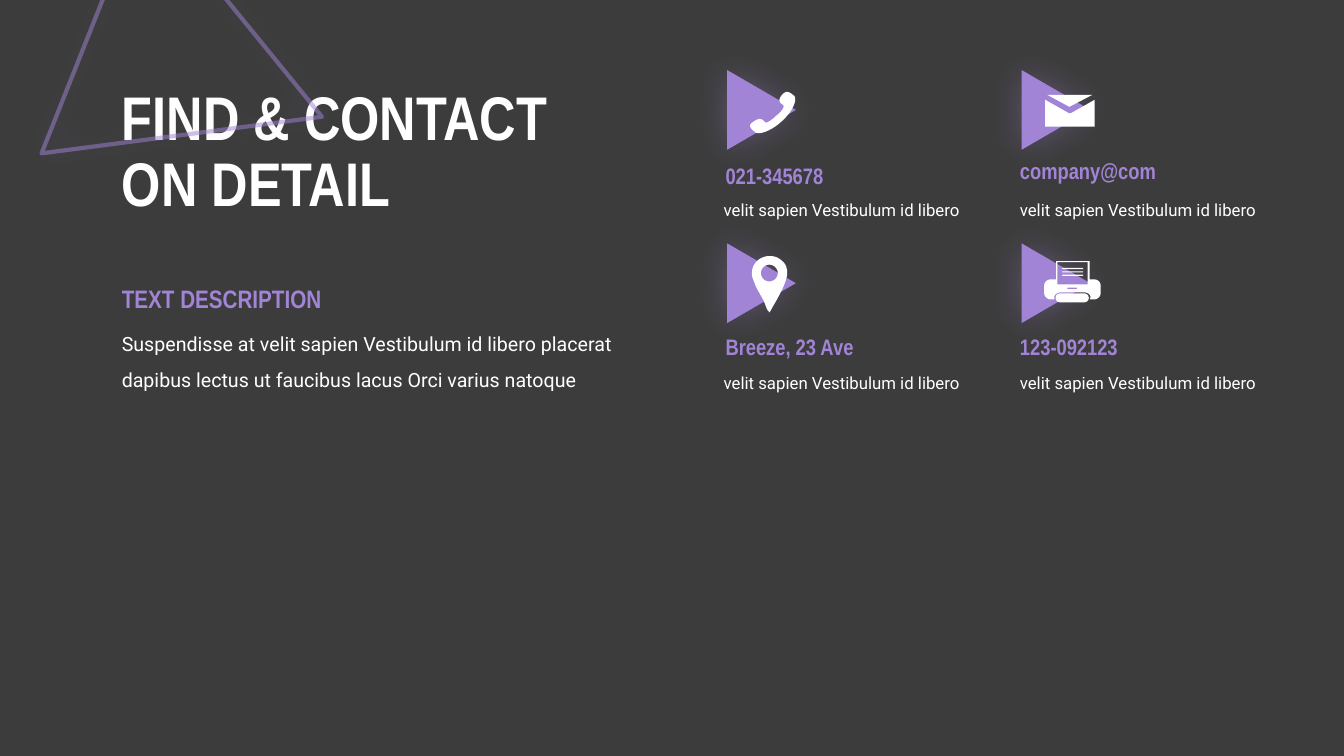
from pptx import Presentation
from pptx.dml.color import RGBColor
from pptx.enum.shapes import MSO_SHAPE as Preset
from pptx.enum.text import MSO_ANCHOR as Anchor, MSO_AUTO_SIZE as AutoSize, PP_ALIGN as Align
from pptx.oxml import parse_xml
from pptx.oxml.ns import nsdecls, qn
from pptx.util import Pt

PHONE = [[
    (25.9, 11.5),
    (23.8, 10.1, 21.6, 8.6, 25.2, 4.3), (28.8, 0, 31.7, 3.6, 33.8, 5),
    (36, 7.2, 33.8, 15.1, 25.2, 23), (16.6, 31, 7.9, 33.1, 5.8, 31),
    (3.6, 28.8, 0, 26.6, 4.3, 23.8), (9.4, 20.2, 10.8, 21.6, 13, 23.8),
    (13.7, 25.2, 18, 22.3, 20.9, 19.4), (24.5, 16.6, 27.4, 13, 25.9, 11.5),
]]
ENVELOPE = [
    [(0, 3.6), (16.6, 13), (17.7, 13.3), (18.7, 13), (35.3, 3.6), (35.3, 22.7), (0, 22.7)],
    [(1.4, 0), (33.8, 0), (17.3, 8.6)],
]
PIN = [
    [
        (3.6, 3.6),
        (5.8, 1.4, 9.4, 0, 12.6, 0), (16.6, 0, 19.4, 1.4, 21.6, 3.6),
        (24.5, 5.8, 25.2, 9.4, 25.2, 12.2), (25.2, 13.7, 24.5, 17.3, 22.3, 22.3),
        (20.2, 26.6, 18, 31, 15.8, 34.6), (12.6, 40.3), (10.8, 38.2), (8.6, 32.4),
        (7.2, 29.5, 5.8, 27.4, 4.3, 24.5), (2.9, 22.3, 2.2, 20.2, 1.4, 18),
        (0, 15.1, 0, 13.7, 0, 12.2), (0, 8.6, 1.4, 5.8, 3.6, 3.6),
    ],
    [
        (6.4, 12.2),
        (6.4, 15.5, 9.1, 18.2, 12.4, 18.2), (15.7, 18.2, 18.5, 15.5, 18.5, 12.2),
        (18.5, 8.9, 15.7, 6.2, 12.4, 6.2), (9.1, 6.2, 6.4, 8.9, 6.4, 12.2),
    ],
]
PRINTER = [
    [
        (35.3, 13), (32.4, 13), (32.4, 0), (8.6, 0), (8.6, 13), (5, 13),
        (2.2, 13, 0, 15.1, 0, 17.3), (0, 23), (0, 25.2, 2.2, 27.4, 5, 27.4),
        (7.2, 27.4), (7.2, 25.9), (7.2, 23.8, 9.4, 22.3, 12.2, 22.3), (28.1, 22.3),
        (31, 22.3, 33.1, 23.8, 33.1, 25.9), (32.4, 27.4), (35.3, 27.4),
        (38.2, 27.4, 40.3, 25.2, 40.3, 23), (40.3, 17.3),
        (40.3, 15.1, 38.2, 13, 35.3, 13),
    ],
    [(9.4, 0.7), (31, 0.7), (31, 16.6), (9.4, 16.6)],
    [(16.6, 18.9), (23.4, 18.9), (23.4, 20), (16.6, 20)],
]


def color(hex_string):
    return RGBColor.from_string(hex_string)


def curve_points(start, curve, steps=10):
    x1, y1, x2, y2, x3, y3 = curve
    for step in range(1, steps + 1):
        t = step / steps
        weights = ((1 - t) ** 3, 3 * t * (1 - t) ** 2, 3 * t * t * (1 - t), t ** 3)
        yield tuple(
            sum(w * v for w, v in zip(weights, axis))
            for axis in ((start[0], x1, x2, x3), (start[1], y1, y2, y3))
        )


class ContactSlide:
    WHITE, PURPLE, DARK = "FFFFFF", "A284D7", "3C3C3C"
    HEADING, BODY = "Arial Narrow", "Roboto"

    def __init__(self, presentation):
        self.slide = presentation.slides.add_slide(presentation.slide_layouts[5])
        self.shapes = self.slide.shapes
        background = self.slide.background.fill
        background.solid()
        background.fore_color.rgb = color(self.DARK)

    def style(self, paragraph, size, face, ink, spacing):
        font = paragraph.font
        font.size, font.name, font.bold = Pt(size), face, face == self.HEADING
        font.color.rgb = color(ink)
        paragraph.alignment = Align.LEFT
        paragraph.line_spacing = spacing

    def title(self, words, left, top, width, height):
        title = self.shapes.title
        title.left, title.top, title.width, title.height = map(Pt, (left, top, width, height))
        frame = title.text_frame
        frame.text = words
        frame.word_wrap, frame.auto_size = True, AutoSize.NONE
        frame.vertical_anchor = Anchor.MIDDLE
        self.style(frame.paragraphs[0], 44, self.HEADING, self.WHITE, 0.9)

    def text(self, words, left, top, width, height, size, heading=False):
        frame = self.shapes.add_textbox(*map(Pt, (left, top, width, height))).text_frame
        frame.text = words
        frame.word_wrap, frame.auto_size = True, AutoSize.SHAPE_TO_FIT_TEXT
        look = (self.HEADING, self.PURPLE, 1.0) if heading else (self.BODY, self.WHITE, 1.5)
        self.style(frame.paragraphs[0], size, *look)

    def paint(self, shape, ink):
        shape.shadow.inherit = False
        shape.fill.solid()
        shape.fill.fore_color.rgb = color(ink)
        shape.line.fill.background()
        return shape

    def triangle(self, left, top, width, height, rotation, outlined=False):
        triangle = self.shapes.add_shape(
            Preset.ISOSCELES_TRIANGLE, *map(Pt, (left, top, width, height)))
        triangle.rotation = rotation
        self.paint(triangle, self.PURPLE)
        properties = triangle._element.spPr
        if outlined:
            triangle.fill.background()
            triangle.line.width = Pt(3)
            triangle.line.color.rgb = color(self.PURPLE)
            ink = properties.find(qn("a:ln")).find(".//" + qn("a:srgbClr"))
            ink.append(parse_xml(f'<a:alpha {nsdecls("a")} val="50000"/>'))
        properties.find(qn("a:effectLst")).append(parse_xml(
            f'<a:outerShdw {nsdecls("a")} blurRad="{Pt(25)}" dist="0" dir="0" algn="ctr" '
            f'rotWithShape="0"><a:srgbClr val="{self.PURPLE}"><a:alpha val="35000"/>'
            '</a:srgbClr></a:outerShdw>'))

    def bar(self, left, top, width, height):
        bar = self.shapes.add_shape(
            Preset.ROUNDED_RECTANGLE, *map(Pt, (left, top, width, height)))
        bar.adjustments[0] = 0.5
        return self.paint(bar, self.WHITE)

    def icon(self, contours, left, top):
        builder = None
        for start, *segments in contours:
            points = [start]
            for segment in segments:
                points += curve_points(points[-1], segment) if len(segment) == 6 else [segment]
            first, *rest = [(Pt(left + x), Pt(top + y)) for x, y in points]
            if builder is None:
                builder = self.shapes.build_freeform(*first)
            else:
                builder.move_to(*first)
            builder.add_line_segments(rest, close=True)
        return self.paint(builder.convert_to_shape(), self.WHITE)

    def printer(self, left, top):
        parts = [self.bar(left + 8.1, top + 23, 23.8, 6.5), self.icon(PRINTER, left, top)]
        parts += [self.bar(left + 12.8, top + 4.9 + 2.4 * row, 15, 0.8) for row in range(3)]
        self.shapes.add_group_shape(parts)


def main():
    presentation = Presentation()
    presentation.slide_width, presentation.slide_height = Pt(960), Pt(540)
    page = ContactSlide(presentation)

    page.triangle(49.7, -37.4, 196.6, 176.4, 111.7, outlined=True)
    page.title("FIND & CONTACT\vON DETAIL", 79.9, 52.6, 404.6, 113.8)
    page.text("Suspendisse at velit sapien Vestibulum id libero placerat "
              "dapibus lectus ut faucibus lacus Orci varius natoque",
              79.9, 225.4, 369.4, 55.4, 14)
    page.text("TEXT DESCRIPTION", 79.9, 198.7, 176.4, 28.8, 18, heading=True)

    contacts = [
        ("021-345678", 0, 0, 112.3),
        ("company@com", 1, 0, 108.7),
        ("Breeze, 23 Ave", 0, 1, 234.7),
        ("123-092123", 1, 1, 234.7),
    ]
    for label, column, row, label_top in contacts:
        left, top = 515.5 + 210.3 * column, 54 + 123.8 * row
        page.triangle(left, top, 56.9, 49, 90)
        page.text(label, left - 4.3, label_top, 136, 26.6, 16, heading=True)
        page.text("velit sapien Vestibulum id libero",
                  (509.8, 721.4)[column], top + 77.8, 190.8, 26.6, 12)

    page.icon(PHONE, 533.5, 63.4)
    page.icon(ENVELOPE, 746.6, 67.7)
    page.icon(PIN, 537.1, 182.9)
    page.printer(745.9, 186.5)
    presentation.save("out.pptx")


if __name__ == "__main__":
    main()
